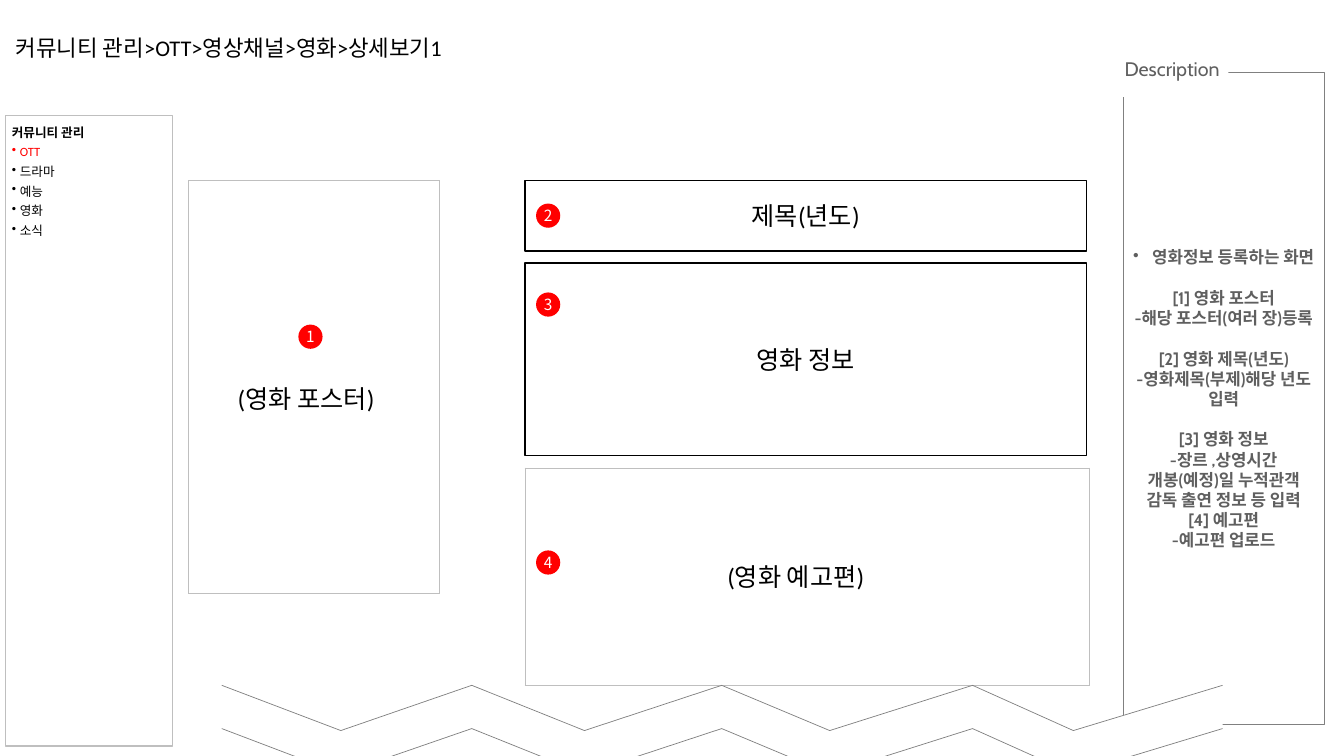
from lxml import etree
from pptx import Presentation
from pptx.dml.color import RGBColor
from pptx.enum.shapes import MSO_SHAPE
from pptx.enum.text import MSO_ANCHOR, MSO_AUTO_SIZE, PP_ALIGN
from pptx.oxml.ns import qn
from pptx.util import Cm, Pt

RECTANGLE, OVAL = MSO_SHAPE.RECTANGLE, MSO_SHAPE.OVAL
LEFT, CENTER = PP_ALIGN.LEFT, PP_ALIGN.CENTER
MIDDLE, TOP = MSO_ANCHOR.MIDDLE, MSO_ANCHOR.TOP
GROW = MSO_AUTO_SIZE.SHAPE_TO_FIT_TEXT

BLACK = RGBColor(0x00, 0x00, 0x00)
WHITE = RGBColor(0xFF, 0xFF, 0xFF)
RED = RGBColor(0xFF, 0x00, 0x00)
LIGHT_GRAY = RGBColor(0xBF, 0xBF, 0xBF)
MID_GRAY = RGBColor(0x80, 0x80, 0x80)
TEXT_GRAY = RGBColor(0x5F, 0x5F, 0x5F)

BADGE_SIZE = 0.61
MENU_ITEMS = ["OTT", "드라마", "예능", "영화", "소식"]
DESCRIPTION_GROUPS = [
    ["영화정보 등록하는 화면"],
    ["[1] 영화 포스터", "-해당 포스터(여러 장)등록"],
    ["[2] 영화 제목(년도)", "-영화제목(부제)해당 년도 입력"],
    ["[3] 영화 정보", "-장르 ,상영시간", "개봉(예정)일 누적관객",
     "감독 출연 정보 등 입력", "[4] 예고편", "-예고편 업로드"],
]
WAVE_STEPS = [0, 3, 6.3, 9.14, 12.6, 15.32, 18.92, 21.46, 25.22]


def paint(shape, fill=None, line=None, width=0.5):
    shape.shadow.inherit = False
    if fill is None:
        shape.fill.background()
    else:
        shape.fill.solid()
        shape.fill.fore_color.rgb = fill
    if line is None:
        shape.line.fill.background()
    else:
        shape.line.color.rgb = line
        shape.line.width = Pt(width)


def add_box(slide, kind, box, **look):
    shape = slide.shapes.add_shape(kind, *map(Cm, box))
    paint(shape, **look)
    return shape


def set_frame(frame, anchor=TOP, insets=None, wrap=True):
    frame.vertical_anchor = anchor
    frame.word_wrap = wrap
    if insets:
        (frame.margin_left, frame.margin_top,
         frame.margin_right, frame.margin_bottom) = map(Cm, insets)


def add_bullet(paragraph, indent):
    properties = paragraph._p.get_or_add_pPr()
    properties.set("marL", str(Cm(indent)))
    properties.set("indent", str(-Cm(indent)))
    etree.SubElement(properties, qn("a:buChar")).set("char", "•")


def write(paragraph, text, size, font, color, bold=False, align=LEFT):
    paragraph.text = text
    paragraph.alignment = align
    for run in paragraph.runs:
        run.font.size = Pt(size)
        run.font.name = font
        run.font.color.rgb = color
        run.font.bold = bold


def next_paragraph(frame, index):
    return frame.add_paragraph() if index else frame.paragraphs[0]


def add_breadcrumb(slide, box):
    frame = slide.shapes.add_textbox(*map(Cm, box)).text_frame
    set_frame(frame, MIDDLE)
    write(frame.paragraphs[0], "커뮤니티 관리>OTT>영상채널>영화>상세보기1",
          16, "Calibri", BLACK)
    frame.paragraphs[0].line_spacing = 0.9


def add_side_menu(slide, box):
    frame = add_box(slide, RECTANGLE, box, line=LIGHT_GRAY, width=0.75).text_frame
    set_frame(frame, insets=(0.15, 0.13, 0, 0.13), wrap=False)
    for index, label in enumerate(["커뮤니티 관리"] + MENU_ITEMS):
        paragraph = next_paragraph(frame, index)
        if index:
            add_bullet(paragraph, 0.2)
        write(paragraph, label, 9, "Calibri",
              RED if label == "OTT" else BLACK, bold=index == 0)
        paragraph.line_spacing = Pt(14)


def add_badge(slide, number, left, top):
    badge = add_box(slide, OVAL, (left, top, BADGE_SIZE, BADGE_SIZE), fill=RED)
    set_frame(badge.text_frame, MIDDLE, (0, 0, 0, 0), wrap=False)
    write(badge.text_frame.paragraphs[0], str(number), 11,
          "Noto Sans CJK KR", WHITE, align=CENTER)


def add_description(slide, box):
    left, top, _, _ = box
    frame = add_box(slide, RECTANGLE, box, fill=WHITE, line=MID_GRAY).text_frame
    set_frame(frame, MIDDLE)
    index = 0
    for group in DESCRIPTION_GROUPS:
        for position, line in enumerate(group):
            paragraph = next_paragraph(frame, index)
            if index == 0:
                add_bullet(paragraph, 0.48)
            elif position == 0:
                paragraph.space_before = Pt(14.5)
            write(paragraph, line, 12, "Cabin", TEXT_GRAY, bold=True, align=CENTER)
            index += 1

    heading = add_box(slide, RECTANGLE, (left - 0.06, top - 0.43, 2.72, 1.04), fill=WHITE)
    set_frame(heading.text_frame, insets=(0.1, 0.03, 0.1, 0.03), wrap=False)
    heading.text_frame.auto_size = GROW
    write(heading.text_frame.paragraphs[0], "Description", 14, "Cabin", TEXT_GRAY)


def add_media_cell(slide, box, caption, caption_box):
    """Draw a one-cell table with a caption placed relative to its corner."""
    left, top, _, _ = box
    table = slide.shapes.add_table(1, 1, *map(Cm, box)).table
    table.first_row = table.horz_banding = False
    cell = table.cell(0, 0)
    properties = cell._tc.get_or_add_tcPr()
    for side in ("a:lnL", "a:lnR", "a:lnT", "a:lnB"):
        border = etree.SubElement(properties, qn(side), w=str(Pt(0.5)))
        fill = etree.SubElement(border, qn("a:solidFill"))
        etree.SubElement(fill, qn("a:srgbClr"), val=str(LIGHT_GRAY))
    cell.fill.background()

    dx, dy, width, height = caption_box
    frame = slide.shapes.add_textbox(
        Cm(left + dx), Cm(top + dy), Cm(width), Cm(height)).text_frame
    set_frame(frame)
    frame.auto_size = GROW
    write(frame.paragraphs[0], caption, 18, "Calibri", BLACK)


def add_field(slide, box, label):
    frame = add_box(slide, RECTANGLE, box, fill=WHITE, line=BLACK, width=1).text_frame
    set_frame(frame, MIDDLE)
    write(frame.paragraphs[0], label, 18, "Calibri", BLACK, align=CENTER)


def add_page_break(slide, left, top, depth=1.14, gap=1.09):
    """Draw a white zigzag band edged by two gray lines."""
    def edge(offset):
        return [(Cm(left + step), Cm(top + offset + depth * (index % 2)))
                for index, step in enumerate(WAVE_STEPS)]

    upper, lower = edge(0), edge(gap)
    band = slide.shapes.build_freeform(*upper[0])
    band.add_line_segments(upper[1:] + lower[::-1], close=True)
    paint(band.convert_to_shape(), fill=WHITE)

    edges = slide.shapes.build_freeform(*upper[0])
    edges.add_line_segments(upper[1:], close=False)
    edges.move_to(*lower[0])
    edges.add_line_segments(lower[1:], close=False)
    paint(edges.convert_to_shape(), line=MID_GRAY)


def main():
    deck = Presentation()
    deck.slide_width, deck.slide_height = Cm(33.87), Cm(19.05)
    slide = deck.slides.add_slide(deck.slide_layouts[6])

    add_breadcrumb(slide, (0.15, 0.25, 29.21, 1.96))
    add_side_menu(slide, (0.15, 2.9, 4.19, 15.9))
    add_description(slide, (28.3, 1.83, 5.08, 16.43))
    add_media_cell(slide, (4.75, 4.55, 6.32, 10.39), "(영화 포스터)",
                   (0.99, 4.98, 4.14, 1.02))
    add_field(slide, (13.23, 4.55, 14.15, 1.78), "제목(년도)")
    add_field(slide, (13.23, 6.63, 14.15, 4.85), "영화 정보")
    add_media_cell(slide, (13.23, 11.79, 14.22, 5.49), "(영화 예고편)",
                   (4.85, 2.23, 5.38, 1.02))
    badge_places = [(7.52, 8.18), (13.51, 5.13), (13.51, 7.37), (13.51, 13.87)]
    for number, (left, top) in enumerate(badge_places, start=1):
        add_badge(slide, number, left, top)
    add_page_break(slide, 5.59, 17.27)
    deck.save("out.pptx")


if __name__ == "__main__":
    main()
